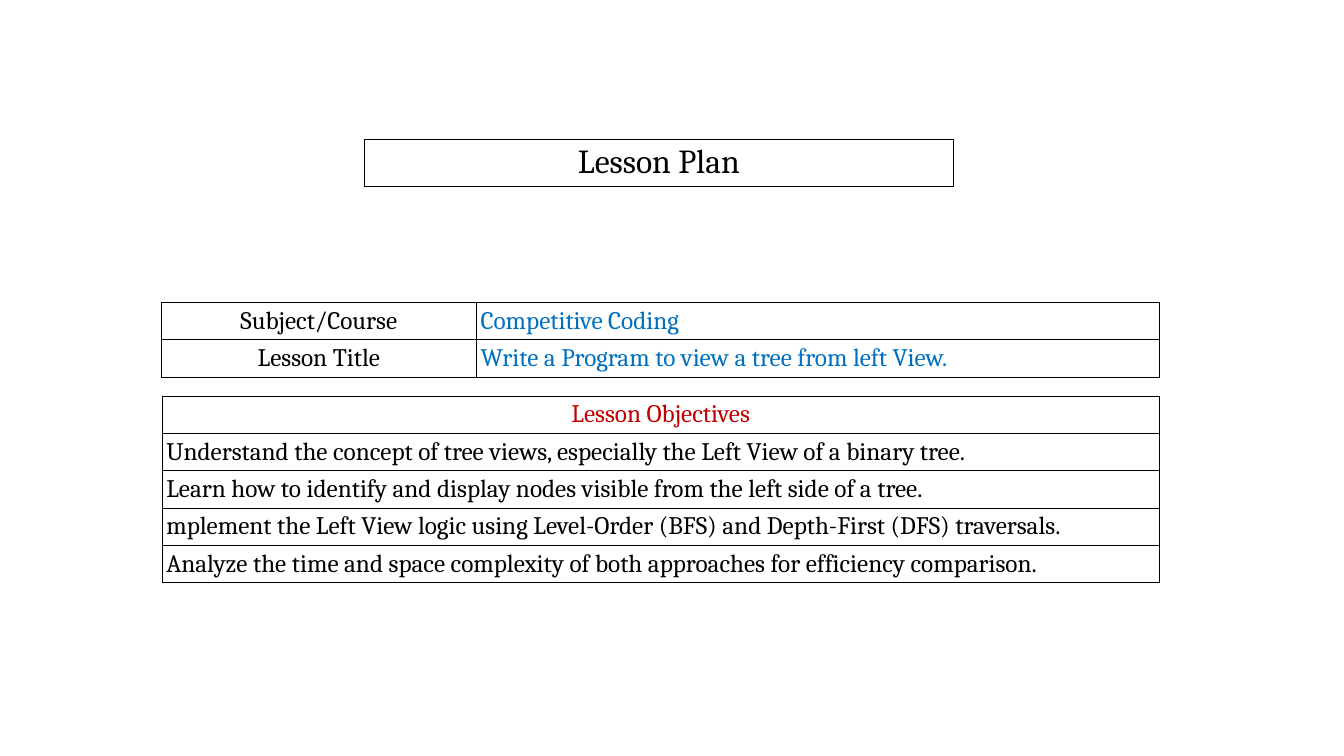
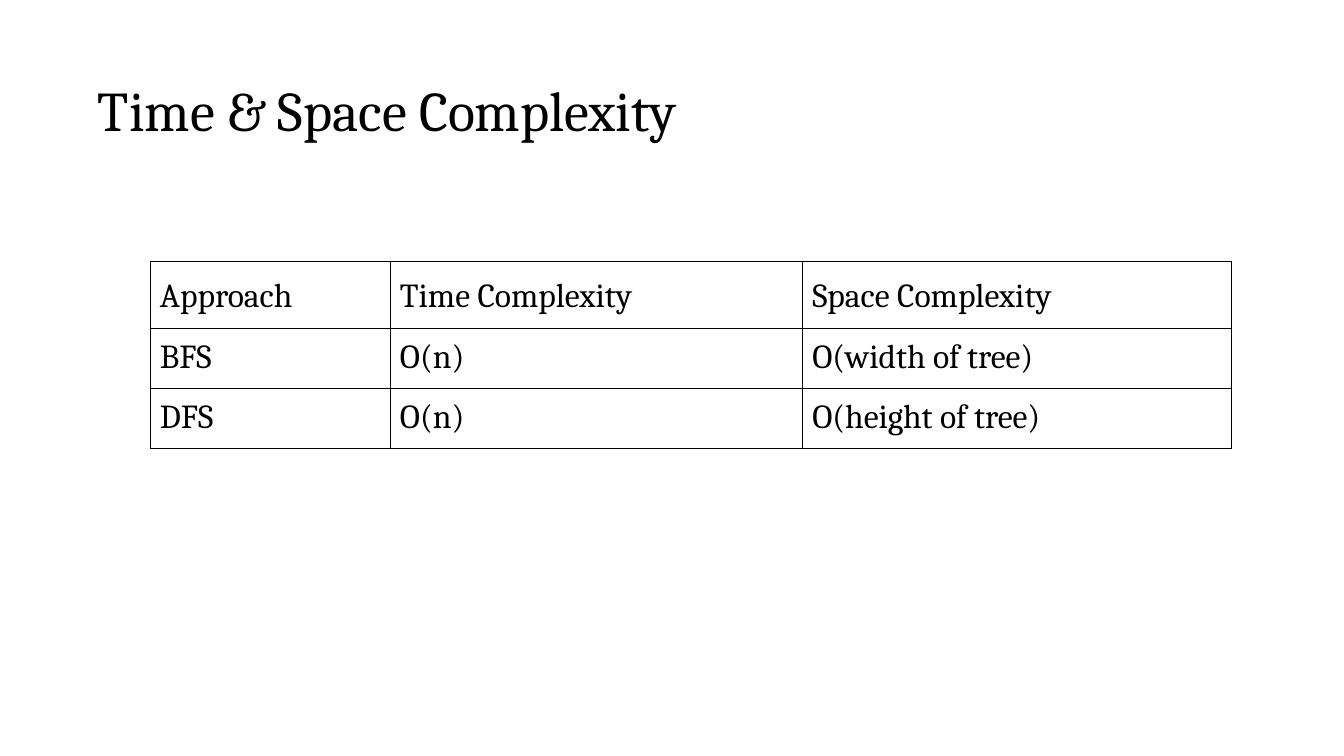
"""Build a lesson plan slide and a complexity table slide."""
import pptx
import pptx.dml.color
import pptx.enum.text
import pptx.oxml
import pptx.oxml.ns
import pptx.util

Cm, Pt = pptx.util.Cm, pptx.util.Pt
RGBColor = pptx.dml.color.RGBColor
ALIGN = pptx.enum.text.PP_ALIGN
ANCHOR = pptx.enum.text.MSO_ANCHOR

FONT = "Cambria"
BLACK = RGBColor(0x00, 0x00, 0x00)
WHITE = RGBColor(0xFF, 0xFF, 0xFF)
BLUE = RGBColor(0x00, 0x70, 0xC0)
RED = RGBColor(0xC0, 0x00, 0x00)

HEAD = (BLACK, ALIGN.CENTER)
TOPIC = (RED, ALIGN.CENTER)
VALUE = (BLUE, ALIGN.LEFT)
BODY = (BLACK, ALIGN.LEFT)

PLAN = [[("Lesson Plan", HEAD)]]
COURSE = [
    [("Subject/Course", HEAD), ("Competitive Coding", VALUE)],
    [("Lesson Title", HEAD), ("Write a Program to view a tree from left View.", VALUE)],
]
GOALS = [
    "Understand the concept of tree views, especially the Left View of a binary tree.",
    "Learn how to identify and display nodes visible from the left side of a tree.",
    "mplement the Left View logic using Level-Order (BFS) and Depth-First (DFS) traversals.",
    "Analyze the time and space complexity of both approaches for efficiency comparison.",
]
AIMS = [[("Lesson Objectives", TOPIC)]] + [[(goal, BODY)] for goal in GOALS]
TITLE = "Time & Space Complexity"
COSTS = [
    ["Approach", "Time Complexity", "Space Complexity"],
    ["BFS", "O(n)", "O(width of tree)"],
    ["DFS", "O(n)", "O(height of tree)"],
]
COSTS = [[(text, BODY) for text in row] for row in COSTS]


def write(frame, text, size, look=BODY, lead=1.0):
    """Put one styled run in the first paragraph of a frame."""
    color, align = look
    para = frame.paragraphs[0]
    para.alignment = align
    para.line_spacing = lead
    run = para.add_run()
    run.text = text
    run.font.name = FONT
    run.font.size = Pt(size)
    run.font.color.rgb = color


def inset(box, gap):
    """Give a cell or text frame equal margins."""
    box.margin_left = box.margin_right = Cm(gap)
    box.margin_top = box.margin_bottom = Cm(gap)


def border(cell):
    """Draw a thin black line on each side of a cell."""
    props = cell._tc.get_or_add_tcPr()
    for side in "LRTB":
        props.append(pptx.oxml.parse_xml(
            f'<a:ln{side} {pptx.oxml.ns.nsdecls("a")} w="{Pt(0.75)}">'
            f'<a:solidFill><a:srgbClr val="{BLACK}"/></a:solidFill></a:ln{side}>'))


def grid(slide, rows, left, top, widths, heights, size, gap, anchor, lead=1.0):
    """Add a plain bordered table; lead is the line spacing of its first row."""
    frame = slide.shapes.add_table(
        len(rows), len(widths), Cm(left), Cm(top), Cm(sum(widths)), Cm(sum(heights)))
    table = frame.table
    table.first_row = table.horz_banding = False
    for col, width in zip(table.columns, widths):
        col.width = Cm(width)
    for r, (row, height) in enumerate(zip(rows, heights)):
        table.rows[r].height = Cm(height)
        for c, (text, look) in enumerate(row):
            cell = table.cell(r, c)
            inset(cell, gap)
            cell.vertical_anchor = anchor
            border(cell)
            cell.fill.solid()
            cell.fill.fore_color.rgb = WHITE
            write(cell.text_frame, text, size, look, 1.0 if r else lead)


def title(slide, text):
    """Add the slide title."""
    box = slide.shapes.add_textbox(Cm(2.34), Cm(1.02), Cm(29.21), Cm(3.68))
    frame = box.text_frame
    frame.word_wrap = True
    frame.vertical_anchor = ANCHOR.MIDDLE
    inset(frame, 0.13)
    write(frame, text, 40, lead=0.9)


def main():
    """Build and save both slides."""
    deck = pptx.Presentation()
    deck.slide_width, deck.slide_height = Cm(33.87), Cm(19.05)
    blank = deck.slide_layouts[6]

    plan = deck.slides.add_slide(blank)
    grid(plan, PLAN, 9.19, 3.51, [14.83], [1.19], 24, 0.1, ANCHOR.MIDDLE)
    grid(plan, COURSE, 4.06, 7.62, [7.95, 17.2], [0.94] * 2, 18, 0.1, ANCHOR.MIDDLE)
    grid(plan, AIMS, 4.09, 9.98, [25.12], [0.94] * 5, 18, 0.1, ANCHOR.MIDDLE)

    costs = deck.slides.add_slide(blank)
    title(costs, TITLE)
    grid(costs, COSTS, 3.78, 6.6, [6.05, 10.39, 10.82], [1.62, 1.48, 1.48],
         24, 0.25, ANCHOR.TOP, 1.15)
    deck.save("out.pptx")


if __name__ == "__main__":
    main()
